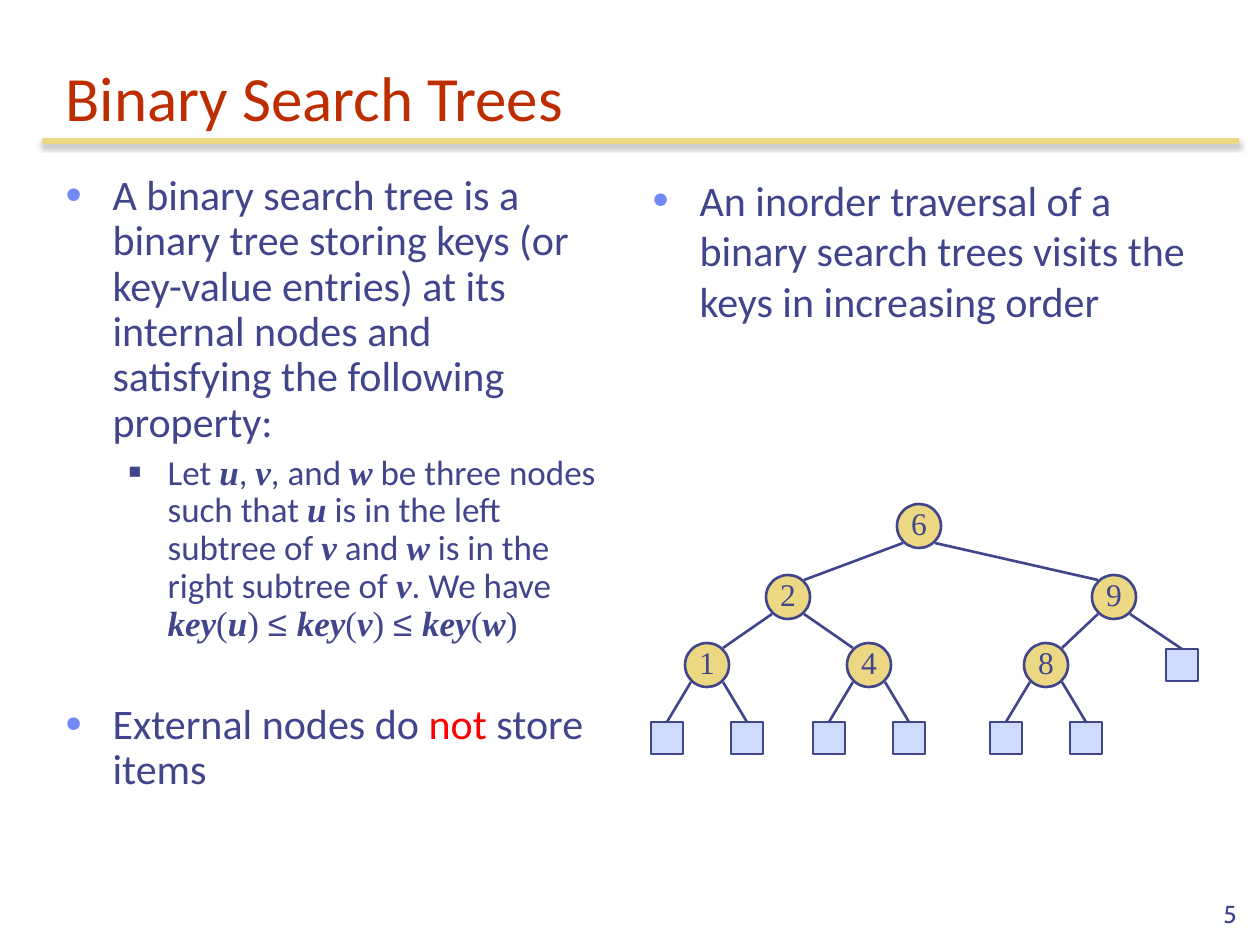
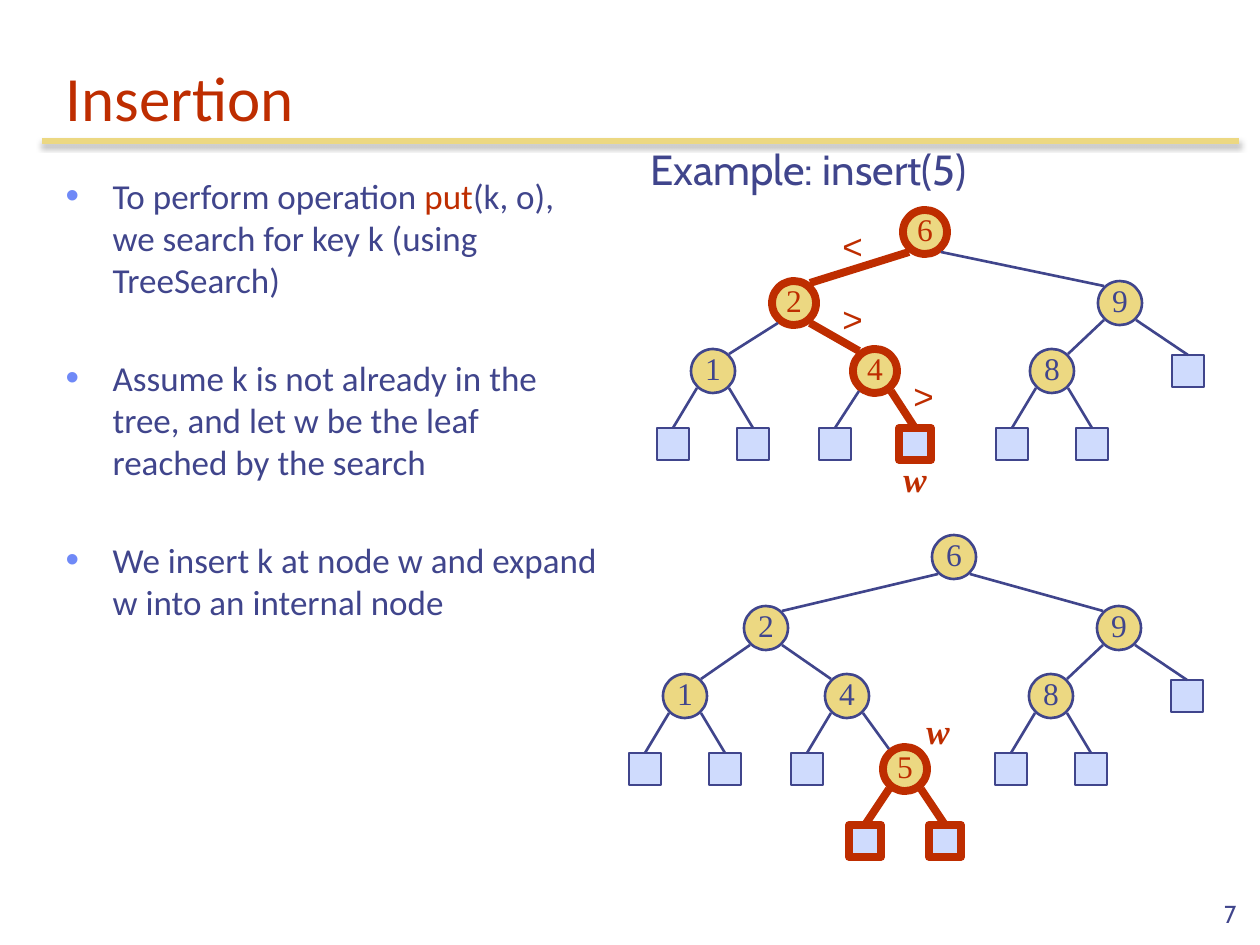
from dataclasses import dataclass
from typing import NamedTuple, Optional

from lxml import etree
from pptx import Presentation
from pptx.dml.color import RGBColor
from pptx.enum.shapes import MSO_CONNECTOR, MSO_SHAPE
from pptx.enum.text import MSO_ANCHOR, MSO_AUTO_SIZE, PP_ALIGN
from pptx.oxml.ns import qn
from pptx.util import Emu, Pt

STRAIGHT = MSO_CONNECTOR.STRAIGHT
CIRCLE, SQUARE = MSO_SHAPE.OVAL, MSO_SHAPE.RECTANGLE
MIDDLE, BOTTOM = MSO_ANCHOR.MIDDLE, MSO_ANCHOR.BOTTOM
LEFT, RIGHT, CENTER = PP_ALIGN.LEFT, PP_ALIGN.RIGHT, PP_ALIGN.CENTER
NO_FIT, GROW = MSO_AUTO_SIZE.NONE, MSO_AUTO_SIZE.SHAPE_TO_FIT_TEXT
TOP_SITE = 0


def px(length: int) -> Emu:
    return Emu(round(length * 914400 / 126))


@dataclass(frozen=True)
class Theme:
    ink: str = "40458C"
    accent: str = "BE2D00"
    warning: str = "FF0000"
    gold: str = "ECD882"
    leaf: str = "CFDBFD"
    bullet: str = "6F89F7"
    sans: str = "Calibri"
    serif: str = "Times New Roman"
    symbol: str = "Arial"
    display: str = "Cabin"
    title: int = 36
    large: int = 24
    medium: int = 20
    key: int = 18
    page: int = 14
    thin: float = 1.5
    rule: float = 3
    thick: float = 4.5


THEME = Theme()


class Style(NamedTuple):
    font: str = THEME.sans
    color: str = THEME.ink
    strong: bool = False  # bold and italic


class Run(NamedTuple):
    text: str
    style: Style = Style()


class Level(NamedTuple):
    depth: int
    margin: int
    hanging: int
    mark: str
    color: str
    percent: int


class Item(NamedTuple):
    runs: list[Run]
    size: int
    level: Level
    spacing: float = 1.0
    gap: Optional[int] = None  # points before the item


class Box(NamedTuple):
    left: int
    top: int
    width: int
    height: int


class Label(NamedTuple):
    text: str
    box: Box
    style: Style
    size: int = THEME.medium


@dataclass(frozen=True)
class Node:
    """Tree node; a node without a key is an external node."""
    key: str = ""
    left: Optional["Node"] = None
    right: Optional["Node"] = None
    left_dx: int = -40
    right_dx: int = 40
    hot: bool = False


# Text styles and list levels
MATH = Style(THEME.serif, strong=True)
SERIF = Style(THEME.serif)
SYMBOL = Style(THEME.symbol)
ACCENT = Style(color=THEME.accent)
COMPARE = Style(THEME.symbol, THEME.accent)
POINTER = Style(THEME.serif, THEME.accent, True)
DISPLAY = Style(THEME.display)
POINT = Level(0, 47, 47, "•", THEME.bullet, 110)
SUBPOINT = Level(1, 102, 39, "■", THEME.ink, 60)

# Shared frame
TITLE_BOX = Box(53, 42, 1176, 98)
LEFT_BOX = Box(53, 168, 557, 726)
RIGHT_BOX = Box(640, 168, 588, 721)
PAGE_BOX = Box(987, 872, 262, 63)
RULE_LEFT, RULE_RIGHT, RULE_Y = 42, 1239, 141

# Tree geometry
LEVEL_DY = (0, 71, 139, 212, 284)
CIRCLE_SIZE, SQUARE_SIZE = 44, 32
EDGE_DX, EDGE_DY, HOT_EDGE_DY = 16, 17, 20


def rgb(color: str) -> RGBColor:
    return RGBColor.from_string(color)


def place(shape, box: Box) -> None:
    shape.left, shape.top, shape.width, shape.height = map(px, box)


def add_run(paragraph, run: Run, size: int) -> None:
    piece = paragraph.add_run()
    piece.text = run.text
    font = piece.font
    font.name, font.size = run.style.font, Pt(size)
    font.bold = font.italic = run.style.strong
    font.color.rgb = rgb(run.style.color)


def add_line(shapes, start: tuple[int, int], end: tuple[int, int],
             color: str, weight: float):
    line = shapes.add_connector(STRAIGHT, *map(px, start + end))
    line.line.color.rgb = rgb(color)
    line.line.width = Pt(weight)
    effects = etree.SubElement(line._element.spPr, qn("a:effectLst"))
    return line, effects


# Frame and text
def add_rule(slide) -> None:
    _, effects = add_line(slide.shapes, (RULE_LEFT, RULE_Y),
                          (RULE_RIGHT, RULE_Y), THEME.gold, THEME.rule)
    shadow = etree.SubElement(effects, qn("a:outerShdw"), dir="5400000",
                              blurRad=str(Pt(3.1)), dist=str(Pt(1.8)),
                              rotWithShape="0")
    black = etree.SubElement(shadow, qn("a:srgbClr"), val="000000")
    etree.SubElement(black, qn("a:alpha"), val="35000")


def add_label(slide, label: Label) -> None:
    text_box = slide.shapes.add_textbox(*map(px, label.box))
    frame = text_box.text_frame
    frame.word_wrap, frame.auto_size = False, GROW
    add_run(frame.paragraphs[0], Run(label.text, label.style), label.size)


def new_slide(deck, layout: int, title: str, page: str):
    slide = deck.slides.add_slide(deck.slide_layouts[layout])
    add_rule(slide)
    heading = slide.shapes.title
    place(heading, TITLE_BOX)
    number = slide.shapes.add_textbox(*map(px, PAGE_BOX))
    for shape, run, size, align in (
            (heading, Run(title, ACCENT), THEME.title, LEFT),
            (number, Run(page, DISPLAY), THEME.page, RIGHT)):
        frame = shape.text_frame
        frame.word_wrap, frame.auto_size = True, NO_FIT
        frame.vertical_anchor = BOTTOM
        frame.paragraphs[0].alignment = align
        add_run(frame.paragraphs[0], run, size)
    return slide


def set_bullet(paragraph, level: Level) -> None:
    paragraph.level = level.depth
    props = paragraph._p.get_or_add_pPr()
    props.set("marL", str(px(level.margin)))
    props.set("indent", str(px(-level.hanging)))
    color = etree.SubElement(props, qn("a:buClr"))
    etree.SubElement(color, qn("a:srgbClr"), val=level.color)
    etree.SubElement(props, qn("a:buSzPct"), val=str(level.percent * 1000))
    etree.SubElement(props, qn("a:buChar"), char=level.mark)


def fill_list(body, box: Box, items: list[Item]) -> None:
    place(body, box)
    frame = body.text_frame
    frame.auto_size = NO_FIT
    for index, item in enumerate(items):
        paragraph = frame.add_paragraph() if index else frame.paragraphs[0]
        paragraph.line_spacing = item.spacing
        if item.gap is not None:
            paragraph.space_before = Pt(item.gap)
        set_bullet(paragraph, item.level)
        for run in item.runs:
            if run.text == "\n":
                paragraph.add_line_break()
            else:
                add_run(paragraph, run, item.size)


# Trees
def node_look(hot: bool) -> tuple[str, float, int]:
    if hot:
        return THEME.accent, THEME.thick, HOT_EDGE_DY
    return THEME.ink, THEME.thin, EDGE_DY


def add_node(shapes, node: Node, x: int, y: int):
    size = CIRCLE_SIZE if node.key else SQUARE_SIZE
    color, weight, _ = node_look(node.hot)
    shape = shapes.add_shape(CIRCLE if node.key else SQUARE, px(x - size // 2),
                             px(y - size // 2), px(size), px(size))
    shape.shadow.inherit = False
    shape.fill.solid()
    shape.fill.fore_color.rgb = rgb(THEME.gold if node.key else THEME.leaf)
    shape.line.color.rgb = rgb(color)
    shape.line.width = Pt(weight)
    if node.key:
        frame = shape.text_frame
        frame.margin_left = frame.margin_top = frame.margin_right = 0
        frame.margin_bottom = px(6)
        frame.word_wrap, frame.vertical_anchor = False, MIDDLE
        frame.paragraphs[0].alignment = CENTER
        add_run(frame.paragraphs[0], Run(node.key, Style(THEME.serif, color)),
                THEME.key)
    return shape


def draw_tree(shapes, node: Node, x: int, root_y: int, depth: int = 0):
    y = root_y + LEVEL_DY[depth]
    shape = add_node(shapes, node, x, y)
    start_dy = node_look(node.hot)[2]
    for child, dx, side in ((node.left, node.left_dx, -1),
                            (node.right, node.right_dx, 1)):
        if child is None:
            continue
        child_x, child_y = x + dx, root_y + LEVEL_DY[depth + 1]
        child_shape = draw_tree(shapes, child, child_x, root_y, depth + 1)
        color, weight, _ = node_look(node.hot and child.hot)
        end = (child_x - side * EDGE_DX, child_y - node_look(child.hot)[2])
        edge, _ = add_line(shapes, (x + side * EDGE_DX, y + start_dy), end,
                           color, weight)
        if not child.key:
            edge.end_connect(child_shape, TOP_SITE)
    return shape


LEAF, HOT_LEAF = Node(), Node(hot=True)
ONE, FOUR, EIGHT = (Node(key, LEAF, LEAF) for key in "148")
NINE = Node("9", EIGHT, LEAF, -68, 68)
SEARCH_TREE = Node("6", Node("2", ONE, FOUR, -81, 81), NINE, -131, 195)
HOT_FOUR = Node("4", LEAF, HOT_LEAF, hot=True)
SEARCH_PATH = Node("6", Node("2", ONE, HOT_FOUR, -81, 81, True), NINE,
                   -131, 195, True)
HOT_FIVE = Node("5", HOT_LEAF, HOT_LEAF, hot=True)
EXPANDED_TREE = Node("6", Node("2", ONE, Node("4", LEAF, HOT_FIVE, -40, 58),
                               -81, 81), NINE, -188, 165)

# Wording
DEFINITION = [
    Item([Run("A binary search tree is a binary tree storing keys (or key-value "
              "entries) at its internal nodes and satisfying the following "
              "property:")], THEME.large, POINT, 0.9),
    Item([Run("Let "), Run("u", MATH), Run(", "), Run("v", MATH), Run(", and "),
          Run("w", MATH), Run(" be three nodes such that "), Run("u", MATH),
          Run(" is in the left subtree of "), Run("v", MATH), Run(" and "),
          Run("w", MATH), Run(" is in the right subtree of "), Run("v", MATH),
          Run(". We have "), Run("\n"),
          Run("key", MATH), Run("(", SERIF), Run("u", MATH), Run(") ", SERIF),
          Run("≤ ", SYMBOL),
          Run("key", MATH), Run("(", SERIF), Run("v", MATH), Run(") ", SERIF),
          Run("≤ ", SYMBOL),
          Run("key", MATH), Run("(", SERIF), Run("w", MATH), Run(")", SERIF)],
         THEME.medium, SUBPOINT, 0.9),
    Item([Run("External nodes do "), Run("not", Style(color=THEME.warning)),
          Run(" store items")], THEME.large, POINT, 0.9, 34),
]
TRAVERSAL = [Item([Run("An inorder traversal of a binary search trees visits the "
                       "keys in increasing order")], THEME.large, POINT)]
INSERTION = [
    Item([Run("To perform operation "), Run("put", ACCENT),
          Run("(k, o), we search for key k (using TreeSearch)")],
         THEME.medium, POINT),
    Item([Run("Assume k is not already in the tree, and let w be the leaf "
              "reached by the search")], THEME.medium, POINT, gap=32),
    Item([Run("We insert k at node w and expand w into an internal node")],
         THEME.medium, POINT, gap=32),
]
INSERTION_LABELS = [
    Label("<", Box(830, 218, 44, 54), COMPARE),
    Label(">", Box(830, 291, 44, 54), COMPARE),
    Label(">", Box(901, 368, 44, 54), COMPARE),
    Label("w", Box(891, 451, 49, 54), POINTER),
    Label("w", Box(914, 703, 49, 54), POINTER),
    Label("Example: insert(5)", Box(638, 137, 372, 63), DISPLAY, THEME.large),
]


def main() -> None:
    deck = Presentation()
    deck.slide_width, deck.slide_height = px(1260), px(945)

    trees = new_slide(deck, 3, "Binary Search Trees", "5")
    fill_list(trees.placeholders[1], LEFT_BOX, DEFINITION)
    fill_list(trees.placeholders[2], RIGHT_BOX, TRAVERSAL)
    draw_tree(trees.shapes, SEARCH_TREE, 919, 526)

    insertion = new_slide(deck, 1, "Insertion", "7")
    fill_list(insertion.placeholders[1], LEFT_BOX, INSERTION)
    draw_tree(insertion.shapes, EXPANDED_TREE, 954, 557)
    draw_tree(insertion.shapes, SEARCH_PATH, 925, 232)
    for label in INSERTION_LABELS:
        add_label(insertion, label)

    deck.save("out.pptx")


if __name__ == "__main__":
    main()
